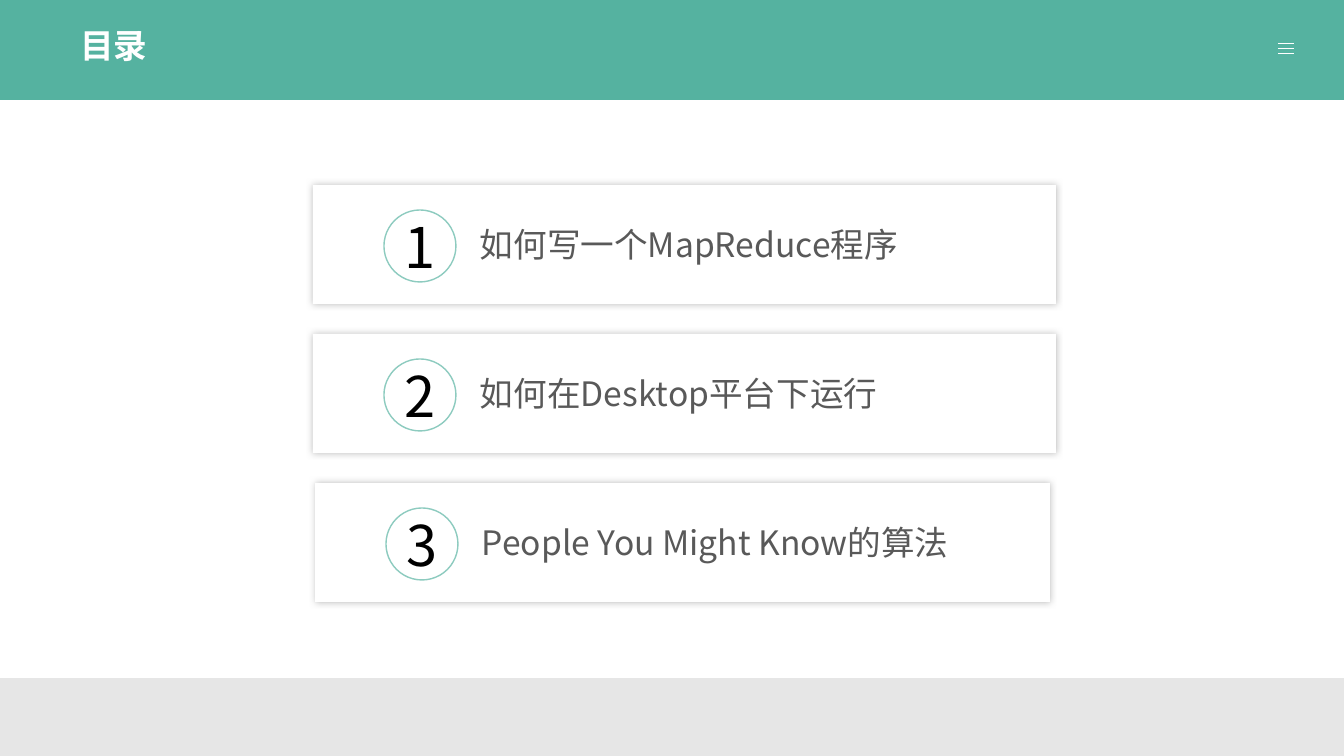
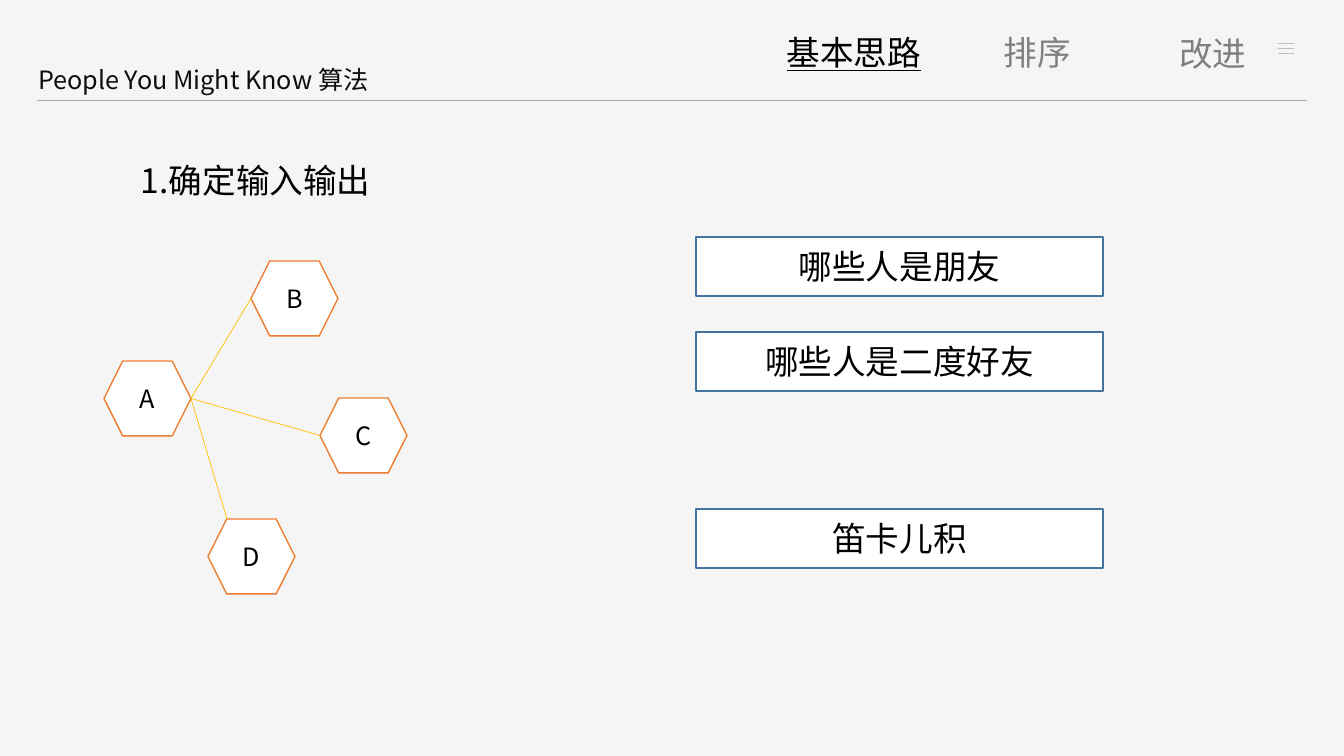
from lxml import etree
from pptx import Presentation
from pptx.dml.color import RGBColor
from pptx.enum.shapes import MSO_CONNECTOR, MSO_SHAPE
from pptx.enum.text import MSO_ANCHOR, MSO_AUTO_SIZE, PP_ALIGN
from pptx.oxml.ns import qn
from pptx.util import Pt

STRAIGHT = MSO_CONNECTOR.STRAIGHT
RECTANGLE, OVAL, HEXAGON = MSO_SHAPE.RECTANGLE, MSO_SHAPE.OVAL, MSO_SHAPE.HEXAGON
LEFT, CENTER, RIGHT = PP_ALIGN.LEFT, PP_ALIGN.CENTER, PP_ALIGN.RIGHT
TOP, MIDDLE = MSO_ANCHOR.TOP, MSO_ANCHOR.MIDDLE
NO_FIT = MSO_AUTO_SIZE.NONE

FONT = "Noto Sans CJK SC"
WIDTH, HEIGHT = 1344, 756
SCALE = 12192000 / WIDTH
BAND_HEIGHT = 100
TITLE_ONLY = 5
COLORS = {
    "white": "FFFFFF",
    "black": "000000",
    "band": "55B2A0",
    "footer": "E6E6E6",
    "ring": "8DCBBF",
    "shadow": "BFBFBF",
    "label": "595959",
    "page": "F5F5F5",
    "title": "0D0D0D",
    "rule": "A6A6A6",
    "menu": "BFBFBF",
    "muted": "808080",
    "node": "ED7D31",
    "link": "FFC000",
    "answer": "43739E",
}


def px(length):
    return round(length * SCALE)


def rgb(name):
    return RGBColor.from_string(COLORS[name])


def add_page(deck, background):
    page = deck.slides.add_slide(deck.slide_layouts[TITLE_ONLY])
    page.background.fill.solid()
    page.background.fill.fore_color.rgb = rgb(background)
    return page


def write(shape, text, size, color, align=LEFT, anchor=TOP, **formats):
    frame = shape.text_frame
    frame.auto_size = NO_FIT
    frame.word_wrap = True
    frame.vertical_anchor = anchor
    para = frame.paragraphs[0]
    para.alignment = align
    span = para.add_run()
    span.text = text
    for name, value in {"name": FONT, "size": Pt(size), **formats}.items():
        setattr(span.font, name, value)
    span.font.color.rgb = rgb(color)
    east_asian = etree.SubElement(span._r.get_or_add_rPr(), qn("a:ea"))
    east_asian.set("typeface", FONT)


def add_title(page, place, text, size, color, **formats):
    title = page.shapes.title
    for name, value in zip(("left", "top", "width", "height"), place):
        setattr(title, name, px(value))
    write(title, text, size, color, **formats)
    return title


def add_label(page, place, text, size, color, **formats):
    box = page.shapes.add_textbox(*map(px, place))
    write(box, text, size, color, **formats)


def add_box(page, kind, place, fill=None, line=None):
    box = page.shapes.add_shape(kind, *map(px, place))
    box.shadow.inherit = False
    if fill:
        box.fill.solid()
        box.fill.fore_color.rgb = rgb(fill)
    else:
        box.fill.background()
    if line:
        box.line.color.rgb = rgb(line)
        box.line.width = Pt(1)
    else:
        box.line.fill.background()
    return box


def add_shadow(box):
    effects = box.element.spPr.find(qn("a:effectLst"))
    shadow = etree.SubElement(effects, qn("a:outerShdw"), blurRad=str(Pt(5)), dist="0")
    etree.SubElement(shadow, qn("a:srgbClr"), val=COLORS["shadow"])


def add_line(page, start, end, color):
    line = page.shapes.add_connector(STRAIGHT, *map(px, (*start, *end)))
    line.line.color.rgb = rgb(color)
    line.line.width = Pt(0.5)
    etree.SubElement(line.element.spPr, qn("a:effectLst"))


def add_menu_icon(page, color):
    for y in range(43, 54, 5):
        add_line(page, (1278, y), (1294, y), color)


def add_card(page, left, top, width, number, text):
    card = add_box(page, RECTANGLE, (left, top, width, 119), "white")
    add_shadow(card)
    ring = add_box(page, OVAL, (left + 71, top + 25, 72, 72), line="ring")
    write(ring, str(number), 40, "black", align=CENTER, anchor=MIDDLE)
    ring.text_frame.word_wrap = False
    for side in ("left", "top", "right", "bottom"):
        setattr(ring.text_frame, f"margin_{side}", 0)
    add_label(page, (left + 157, top + 34, 577, 50), text, 24, "label")


def add_agenda(deck):
    page = add_page(deck, "white")
    add_box(page, RECTANGLE, (0, 678, WIDTH, HEIGHT - 678), "footer")
    band = add_box(page, RECTANGLE, (0, 0, WIDTH, BAND_HEIGHT), "band")
    title = add_title(page, (70, 20, 257, 50), "目录", 24, "white", bold=True)
    band.element.addnext(title.element)
    add_menu_icon(page, "white")
    cards = [
        (313, 743, "如何写一个MapReduce程序"),
        (313, 743, "如何在Desktop平台下运行"),
        (315, 735, "People You Might Know的算法"),
    ]
    for index, (left, width, text) in enumerate(cards):
        add_card(page, left, 185 + 149 * index, width, index + 1, text)


def add_friend_graph(page):
    width, height, slant = 87, 75, 19
    nodes = {"A": (104, 361), "B": (251, 261), "C": (320, 398), "D": (208, 519)}
    for name, corner in nodes.items():
        node = add_box(page, HEXAGON, (*corner, width, height), "white", "node")
        write(node, name, 18, "black", align=CENTER, anchor=MIDDLE)
    hub = (nodes["A"][0] + width, nodes["A"][1] + height / 2)
    for name, across, down in (("B", 0, height / 2), ("C", 0, height / 2), ("D", slant, 0)):
        left, top = nodes[name]
        add_line(page, hub, (left + across, top + down), "link")


def add_algorithm(deck):
    page = add_page(deck, "page")
    add_title(page, (28, 59, 498, 40), "People You Might Know 算法", 18, "title")
    add_line(page, (37, BAND_HEIGHT), (1307, BAND_HEIGHT), "rule")
    add_menu_icon(page, "menu")
    tabs = [
        ((631, 27, 300, 50), "基本思路", "black", RIGHT, True),
        ((930, 27, 215, 50), "排序", "muted", CENTER, False),
        ((1124, 28, 178, 50), "改进", "muted", CENTER, False),
    ]
    for place, text, color, align, underline in tabs:
        add_label(page, place, text, 24, color, align=align, underline=underline)
    add_label(page, (131, 155, 934, 50), "1.确定输入输出", 24, "black")
    add_friend_graph(page)
    answers = {237: "哪些人是朋友", 332: "哪些人是二度好友", 509: "笛卡儿积"}
    for top, text in answers.items():
        answer = add_box(page, RECTANGLE, (696, top, 407, 59), "white", "answer")
        write(answer, text, 24, "black", align=CENTER, anchor=MIDDLE)


def main():
    deck = Presentation()
    deck.slide_width, deck.slide_height = px(WIDTH), px(HEIGHT)
    add_agenda(deck)
    add_algorithm(deck)
    deck.save("out.pptx")


if __name__ == "__main__":
    main()
